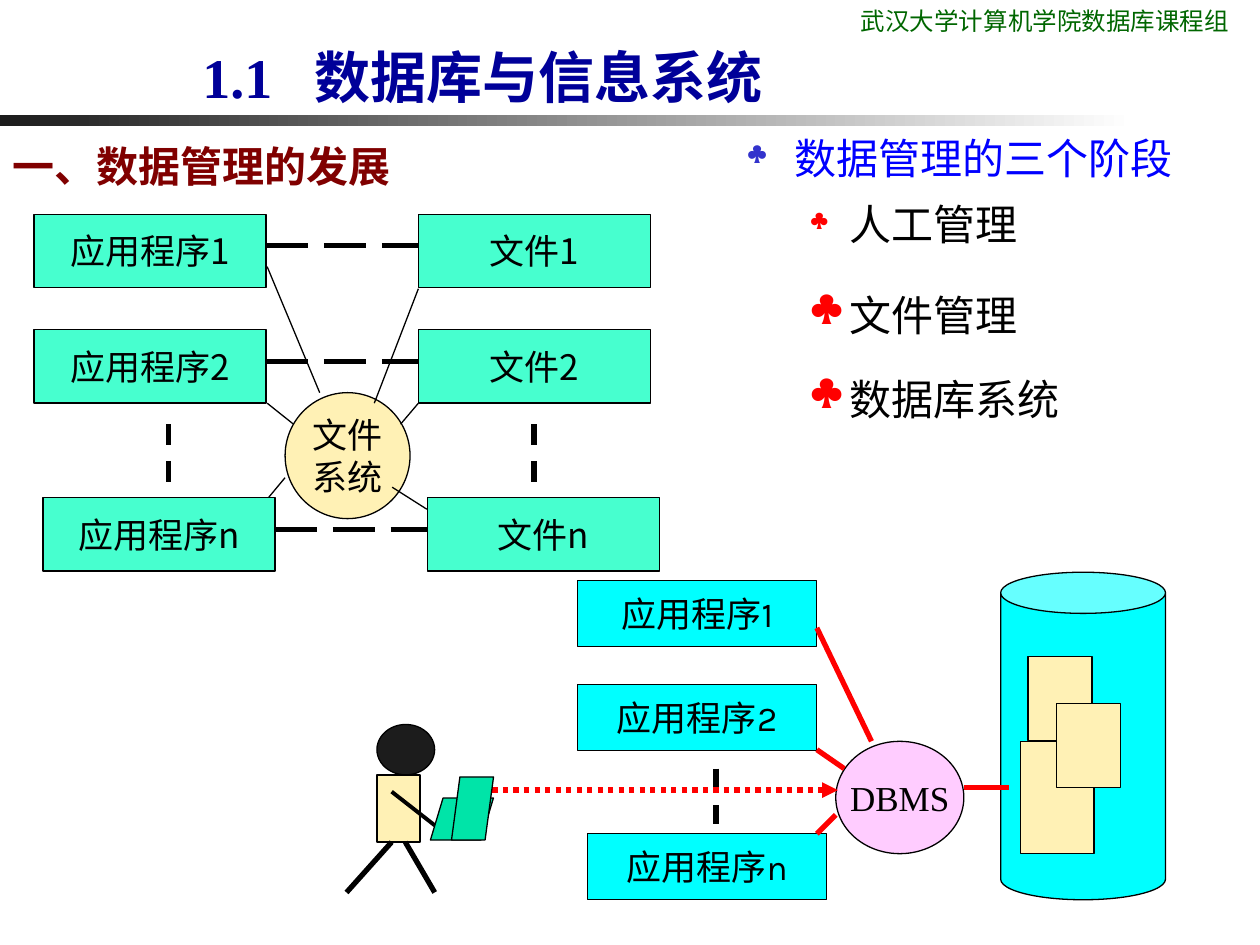
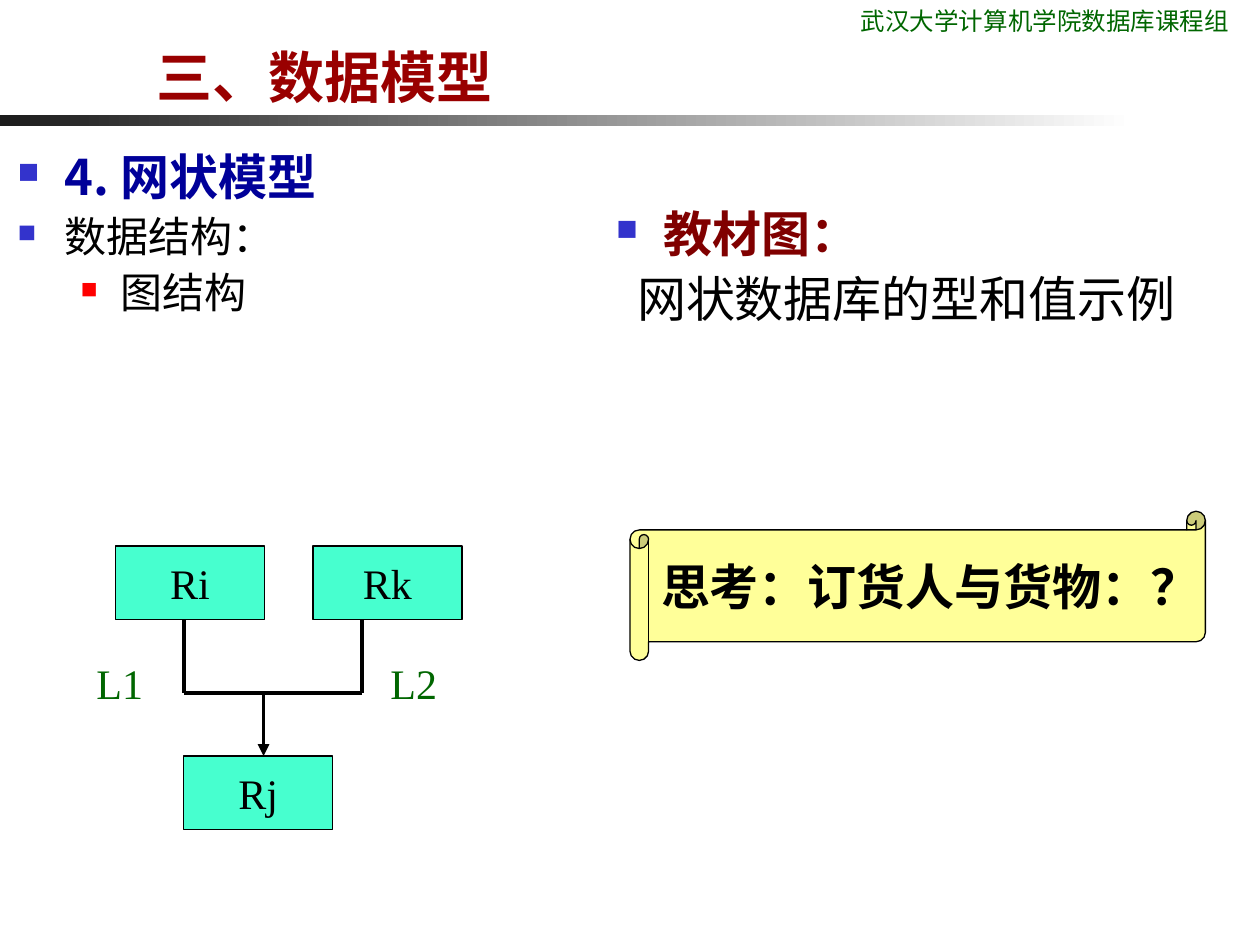
from dataclasses import dataclass
from typing import Optional
from lxml.etree import SubElement
from pptx import Presentation
from pptx.dml.color import RGBColor
from pptx.enum.dml import MSO_LINE as Dash
from pptx.enum.shapes import MSO_CONNECTOR as Connector, MSO_SHAPE as Shape
from pptx.enum.text import MSO_ANCHOR as Anchor, PP_ALIGN as Align
from pptx.oxml.ns import qn
from pptx.util import Inches, Pt

COLUMNS, ROWS = 120, 90
CELL = Inches(10) / COLUMNS
KARLA, TIMES = "Karla", "Times New Roman"
NOTO_SC, NOTO_JP = "Noto Sans CJK SC", "Noto Sans CJK JP"
BLACK, WHITE, RED, BLUE = "000000", "FFFFFF", "FF0000", "3333CC"
NAVY, MAROON, GREEN = "000099", "800000", "006600"
MINT, CYAN, CREAM, TEAL, COAL = "47FFCF", "00FFFF", "FFF1B5", "00E4A8", "1C1C1C"


@dataclass
class Box:
    """A rectangle measured in grid cells."""
    left: float
    top: float
    width: float
    height: float

    def place(self, left, top, width, height):
        """Return a box placed relative to this one."""
        return Box(self.left + left, self.top + top, width, height)

    def lengths(self):
        """Return the four lengths for a shape."""
        return [cells(n) for n in (self.left, self.top, self.width, self.height)]


@dataclass
class Bullet:
    """Character, colour, size and indents of a list level."""
    char: str
    color: str
    percent: int
    margin: float = 4.5
    hang: float = 4.5


@dataclass
class Line:
    """One paragraph and its style."""
    text: str
    size: float = 24
    color: str = BLACK
    face: str = KARLA
    bold: bool = False
    bullet: Optional[Bullet] = None
    before: float = 0
    spacing: float = 1.0
    margin: float = 0
    hang: float = 0
    align: Align = Align.LEFT


def cells(count):
    """Turn grid cells into a length."""
    return round(count * CELL)


def rgb(value):
    """Turn a hex string into a colour."""
    return RGBColor.from_string(value)


def add_bullet(para, bullet):
    """Give a paragraph its bullet."""
    props = para._p.get_or_add_pPr()
    tint = SubElement(props, qn("a:buClr"))
    SubElement(tint, qn("a:srgbClr"), val=bullet.color)
    SubElement(props, qn("a:buSzPct"), val=str(bullet.percent * 1000))
    SubElement(props, qn("a:buChar"), char=bullet.char)


def write_line(para, line):
    """Write one styled paragraph."""
    indent = line.bullet or line
    props = para._p.get_or_add_pPr()
    props.set("marL", str(cells(indent.margin)))
    props.set("indent", str(cells(-indent.hang)))
    para.alignment = line.align
    para.line_spacing = line.spacing
    para.space_before = Pt(line.before)
    if line.bullet:
        add_bullet(para, line.bullet)
    span = para.add_run()
    span.text = line.text
    span.font.size = Pt(line.size)
    span.font.bold = line.bold
    span.font.color.rgb = rgb(line.color)
    span.font.name = line.face
    east = line.face if line.face == NOTO_JP else NOTO_SC
    SubElement(span._r.get_or_add_rPr(), qn("a:ea"), typeface=east)


def write_lines(frame, lines, wrap=True, anchor=Anchor.TOP):
    """Fill a text frame with paragraphs."""
    frame.word_wrap = wrap
    frame.vertical_anchor = anchor
    for index, line in enumerate(lines):
        para = frame.add_paragraph() if index else frame.paragraphs[0]
        write_line(para, line)


def add_text(page, box, *lines, anchor=Anchor.TOP):
    """Add a wrapping text box."""
    frame = page.shapes.add_textbox(*box.lengths()).text_frame
    write_lines(frame, lines, anchor=anchor)


def add_figure(page, kind, box, fill, *lines):
    """Add an outlined shape, with text if given."""
    shape = page.shapes.add_shape(kind, *box.lengths())
    shape.shadow.inherit = False
    shape.fill.solid()
    shape.fill.fore_color.rgb = rgb(fill)
    shape.line.color.rgb = rgb(BLACK)
    shape.line.width = Pt(0.75)
    if lines:
        write_lines(shape.text_frame, lines, False, Anchor.MIDDLE)


def add_line(page, box, start, end, color=BLACK, width=3, dash=None, arrow=False):
    """Draw a line between two points of a box."""
    ends = [cells(n) for x, y in (start, end) for n in (box.left + x, box.top + y)]
    connector = page.shapes.add_connector(Connector.STRAIGHT, *ends)
    connector.line.color.rgb = rgb(color)
    connector.line.width = Pt(width)
    if dash:
        connector.line.dash_style = dash
    if arrow:
        SubElement(connector.line._get_or_add_ln(), qn("a:tailEnd"), type="triangle")
    SubElement(connector._element.spPr, qn("a:effectLst"))


def label(text, size=20, face=NOTO_JP):
    """Return a centred line for a shape."""
    return Line(text, size, face=face, align=Align.CENTER)


def add_page(deck, title_box, title):
    """Add a page with its header, band and title."""
    page = deck.slides.add_slide(deck.slide_layouts[6])
    band = page.shapes.add_shape(Shape.RECTANGLE, *Box(0, 11, 108, 1).lengths())
    band.shadow.inherit = False
    band.line.fill.background()
    band.fill.gradient()
    band.fill.gradient_angle = 180
    for stop, color in zip(band.fill.gradient_stops, (WHITE, COAL)):
        stop.color.rgb = rgb(color)
    add_text(page, Box(80.8, 0, 39.2, 4), Line("武汉大学计算机学院数据库课程组", 14, GREEN))
    add_text(page, title_box, title, anchor=Anchor.BOTTOM)
    return page


def draw_file_system(page, box):
    """Draw programs joined to files through the file system."""
    add_figure(page, Shape.OVAL, box.place(23.9, 17, 11.9, 12), CREAM,
               label("文件"), label("系统"))
    spokes = [((22.2, 5), (27.2, 17)), ((22.2, 18), (24.7, 20)),
              ((21.4, 28.1), (23.9, 25.1)), ((32.4, 18), (36.6, 7.1)),
              ((34.9, 20), (36.6, 18)), ((34.1, 26), (37.4, 28.1))]
    for start, end in spokes:
        add_line(page, box, start, end, width=0.75)
    for number, shift, top in (("1", 0, 0), ("2", 0, 11), ("n", 0.85, 27)):
        for name, left in (("应用程序", 0), ("文件", 36.6)):
            add_figure(page, Shape.RECTANGLE, box.place(left + shift, top, 22.1, 7),
                       MINT, label(name + number))
        add_line(page, box, (22.1 + shift, top + 3), (36.6 + shift, top + 3),
                 dash=Dash.LONG_DASH)
    for left in (12.8, 47.6):
        add_line(page, box, (left, 20), (left, 26), dash=Dash.DASH)


def draw_database(page, box):
    """Draw programs joined to a database through the DBMS."""
    for number, left, top in (("1", 0, 0.8), ("2", 0, 10.7), ("n", 0.95, 24.9)):
        add_figure(page, Shape.RECTANGLE, box.place(left, top, 22.8, 6.25),
                   CYAN, label("应用程序" + number, face=KARLA))
    add_line(page, box, (13.2, 18.7), (13.2, 24), dash=Dash.DASH)
    add_figure(page, Shape.OVAL, box.place(24.6, 16.1, 12.2, 10.7), "FFCCFF",
               label("DBMS", face=TIMES))
    add_figure(page, Shape.CAN, box.place(40.3, 0, 15.7, 31.2), CYAN)
    for file in ((42.9, 8, 6.1, 8), (42.2, 16.1, 7, 10.7), (45.6, 12.5, 6.1, 8)):
        add_figure(page, Shape.RECTANGLE, box.place(*file), CREAM)
    links = [((22.8, 5.3), (28, 16.1)), ((22.8, 16.9), (25.4, 18.7)),
             ((22.8, 24.9), (24.6, 23.1)), ((36.8, 20.5), (41.1, 20.5))]
    for start, end in links:
        add_line(page, box, start, end, RED)


def draw_user(page, box):
    """Draw a user at a terminal, with an arrow to the DBMS."""
    add_line(page, box, (11.9, 6.25), (46.8, 6.25), RED,
             dash=Dash.ROUND_DOT, arrow=True)
    add_figure(page, Shape.OVAL, box.place(2.9, 0, 5.5, 4.8), COAL)
    add_figure(page, Shape.RECTANGLE, box.place(2.9, 4.8, 4.1, 6.4), CREAM)
    add_line(page, box, (4.3, 11.2), (0, 16))
    add_line(page, box, (5.6, 11.2), (8.4, 16))
    add_line(page, box, (4.3, 6.4), (8.4, 9.6), width=2.25)
    for terminal in ((8, 7, 6, 4), (10, 5, 4, 6)):
        add_figure(page, Shape.FLOWCHART_DATA, box.place(*terminal), TEAL)


def list_stages(page, box):
    """List the three stages of data management."""
    add_text(page, box.place(0, 0, box.width, 16),
             Line("数据管理的三个阶段", color="0000FF", bullet=Bullet("♣", BLUE, 60)),
             Line("人工管理", before=9, bullet=Bullet("♣", RED, 55, 9.75, 3.75)))
    for top, stage in ((15, "文件管理"), (23, "数据库系统")):
        add_text(page, box.place(0, top, box.width, 7),
                 Line(stage, bullet=Bullet("♣", RED, 100, 9.75, 3.75)))


def list_model(page, box):
    """List the network model and its textbook figure."""
    square = Bullet("■", BLUE, 60)
    add_text(page, box.place(0, 0, 58.9, 18.7),
             Line("4. 网状模型", 28, NAVY, NOTO_SC, True, square, spacing=0.9),
             Line("数据结构：", bullet=square, before=6, spacing=0.9),
             Line("图结构", bullet=Bullet("■", RED, 55, 9.75, 3.75),
                  before=6, spacing=0.9))
    add_text(page, box.place(57, 5.4, 62.5, 13.2),
             Line("教材图：", 28, MAROON, NOTO_SC, True, square, spacing=0.9),
             Line("网状数据库的型和值示例", 28, face=NOTO_SC, before=7,
                  spacing=0.9, margin=2))


def draw_network(page, box):
    """Draw two parent records joined to one child record."""
    for name, left, top in (("Ri", 3, 0), ("Rk", 21.8, 0), ("Rj", 9.5, 20)):
        add_figure(page, Shape.RECTANGLE, box.place(left, top, 14.2, 7), MINT,
                   label(name, 24, TIMES))
    for start, end in (((9.5, 7), (9.5, 14)), ((26.5, 7), (26.5, 14)),
                       ((9.5, 14), (26.5, 14))):
        add_line(page, box, start, end, width=2.25)
    add_line(page, box, (17.1, 14), (17.1, 20), width=2.25, arrow=True)
    for name, left in (("L1", 0), ("L2", 28)):
        add_text(page, box.place(left, 10, 8.5, 6), Line(name, color=GREEN, face=TIMES))


def build_stages_page(deck):
    """Build the page on the growth of data management."""
    page = add_page(deck, Box(18.1, 0, 74, 11),
                    Line("1.1\t数据库与信息系统", 32, NAVY, TIMES, True,
                         margin=10.7, hang=10.7))
    draw_database(page, Box(55, 54.5, 56, 31.2))
    add_text(page, Box(0, 12.8, 71, 9.4), Line("一、数据管理的发展", 24, MAROON, bold=True))
    draw_file_system(page, Box(3.25, 20.4, 59.5, 34))
    draw_user(page, Box(33, 69, 46.8, 16))
    list_stages(page, Box(70, 12, 50, 30))


def build_model_page(deck):
    """Build the page on the network model."""
    page = add_page(deck, Box(13.7, 0, 62.3, 11),
                    Line("三、数据模型", 32, "990000", TIMES, True))
    list_model(page, Box(0.5, 14, 119.5, 18.7))
    draw_network(page, Box(8, 52, 36.5, 27))
    add_figure(page, Shape.HORIZONTAL_SCROLL, Box(60, 48.7, 54.8, 14.2), "FFFF99",
               Line("思考：订货人与货物：？", 28, bold=True))


def main():
    """Build and save the deck."""
    deck = Presentation()
    deck.slide_width, deck.slide_height = cells(COLUMNS), cells(ROWS)
    build_stages_page(deck)
    build_model_page(deck)
    deck.save("out.pptx")


if __name__ == "__main__":
    main()
